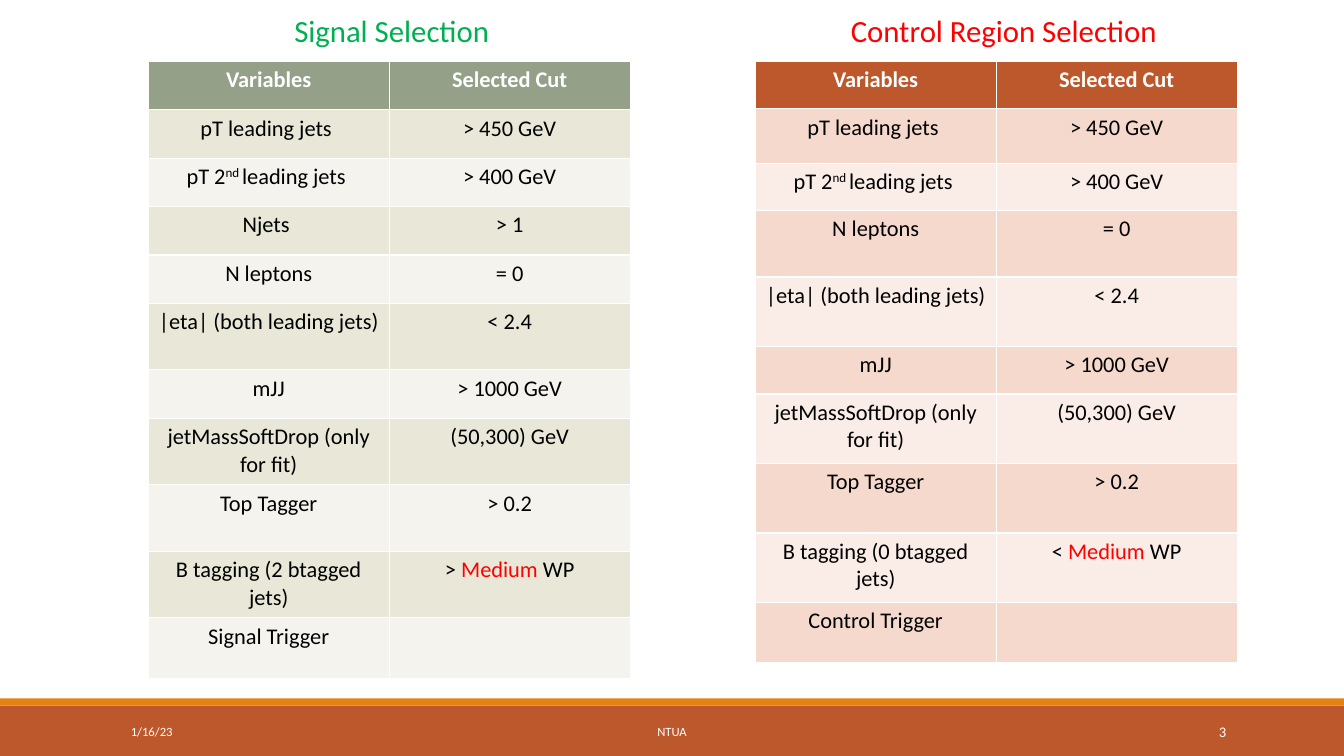
from pptx import Presentation
from pptx.dml.color import RGBColor
from pptx.enum.shapes import MSO_SHAPE
from pptx.enum.text import MSO_ANCHOR, PP_ALIGN
from pptx.util import Inches, Pt

FONT = "Calibri"
BLACK, WHITE, RED, GREEN = "000000", "FFFFFF", "FF0000", "00B050"
RUST, ORANGE, SAGE = "BD582C", "E48312", "94A088"
COLUMN_WIDTH = 2.39
TABLE_TOP = 0.61


def color(value):
    return RGBColor.from_string(value)


def add_span(para, text, size, shade, bold=False, raised=False):
    span = para.add_run()
    span.text = text
    span.font.name = FONT
    span.font.size = Pt(size)
    span.font.bold = bold
    span.font.color.rgb = color(shade)
    if raised:
        span._r.get_or_add_rPr().set("baseline", "30000")


def add_label(page, left, top, width, height, text, size, shade,
              align=PP_ALIGN.LEFT, anchor=MSO_ANCHOR.TOP):
    box = page.shapes.add_textbox(Inches(left), Inches(top), Inches(width), Inches(height))
    box.text_frame.word_wrap = True
    box.text_frame.vertical_anchor = anchor
    para = box.text_frame.paragraphs[0]
    para.alignment = align
    add_span(para, text, size, shade)


def add_band(page, left, top, width, height, fill):
    band = page.shapes.add_shape(
        MSO_SHAPE.RECTANGLE, Inches(left), Inches(top), Inches(width), Inches(height))
    band.shadow.inherit = False
    band.fill.solid()
    band.fill.fore_color.rgb = color(fill)
    band.line.fill.background()


def add_footer(page, left, top, width, height):
    add_band(page, left, top, width, height, RUST)
    add_band(page, left, top - 0.07, width, 0.07, ORANGE)
    labels = [
        (1.2, 2.7, "1/16/23", 9, PP_ALIGN.LEFT),
        (4.03, 5.27, "NTUA", 9, PP_ALIGN.CENTER),
        (10.83, 1.43, "3", 10.5, PP_ALIGN.RIGHT),
    ]
    for offset, label_width, text, size, align in labels:
        add_label(page, left + offset, top + 0.06, label_width, 0.4, text, size, WHITE,
                  align, MSO_ANCHOR.MIDDLE)


def fill_cell(cell, spans, fill, shade, bold):
    cell.fill.solid()
    cell.fill.fore_color.rgb = color(fill)
    para = cell.text_frame.paragraphs[0]
    para.alignment = PP_ALIGN.CENTER
    for text in spans:
        add_span(para, text, 16, RED if text == "Medium" else shade, bold,
                 raised=text == "nd ")


def add_cut_table(page, left, top, cuts, heights, fills):
    table = page.shapes.add_table(
        len(cuts), 2, Inches(left), Inches(top),
        Inches(2 * COLUMN_WIDTH), Inches(sum(heights))).table
    for column in table.columns:
        column.width = Inches(COLUMN_WIDTH)
    header, *stripes = fills
    for index, (cut, height) in enumerate(zip(cuts, heights)):
        table.rows[index].height = Inches(height)
        is_header = index == 0
        fill = header if is_header else stripes[(index - 1) % 2]
        for cell, spans in zip(table.rows[index].cells, cut):
            fill_cell(cell, spans, fill, WHITE if is_header else BLACK, is_header)


def selection_cuts(extra_cuts, btag_count, btag_sign, trigger):
    return [
        (["Variables"], ["Selected Cut"]),
        (["pT leading jets "], ["> 450 GeV"]),
        (["pT 2", "nd ", "leading jets "], ["> 400 GeV"]),
        *extra_cuts,
        (["N leptons"], ["= 0"]),
        (["|eta| (both leading jets)"], ["< 2.4"]),
        (["mJJ"], ["> 1000 GeV"]),
        (["jetMassSoftDrop (only for fit)"], ["(50,300) GeV"]),
        (["Top Tagger"], ["> 0.2"]),
        ([f"B tagging ({btag_count} btagged jets)"], [f"{btag_sign} ", "Medium", " WP"]),
        ([trigger], []),
    ]


def add_signal_selection(page, left, top):
    add_label(page, left + 1.35, top - 0.54, 2.18, 0.47, "Signal Selection", 22, GREEN)
    cuts = selection_cuts([(["Njets "], ["> 1"])], 2, ">", "Signal Trigger")
    heights = [0.48] * 5 + [0.66, 0.48] + [0.66] * 3 + [0.6]
    add_cut_table(page, left, top, cuts, heights, [SAGE, "E9E7D8", "F4F3ED"])


def add_control_selection(page, left, top):
    add_label(page, left + 0.85, top - 0.54, 3.6, 0.47, "Control Region Selection", 22, RED)
    cuts = selection_cuts([], 0, "<", "Control Trigger")
    heights = [0.47, 0.54, 0.47, 0.66, 0.69, 0.47] + [0.69] * 3 + [0.6]
    add_cut_table(page, left, top, cuts, heights, [RUST, "F5D9CC", "FAEDE7"])


def main():
    deck = Presentation()
    deck.slide_width = Inches(13.33)
    deck.slide_height = Inches(7.5)
    page = deck.slides.add_slide(deck.slide_layouts[6])
    add_footer(page, 0, 7, 13.33, 0.5)
    add_signal_selection(page, 1.47, TABLE_TOP)
    add_control_selection(page, 7.49, TABLE_TOP)
    deck.save("out.pptx")


if __name__ == "__main__":
    main()
